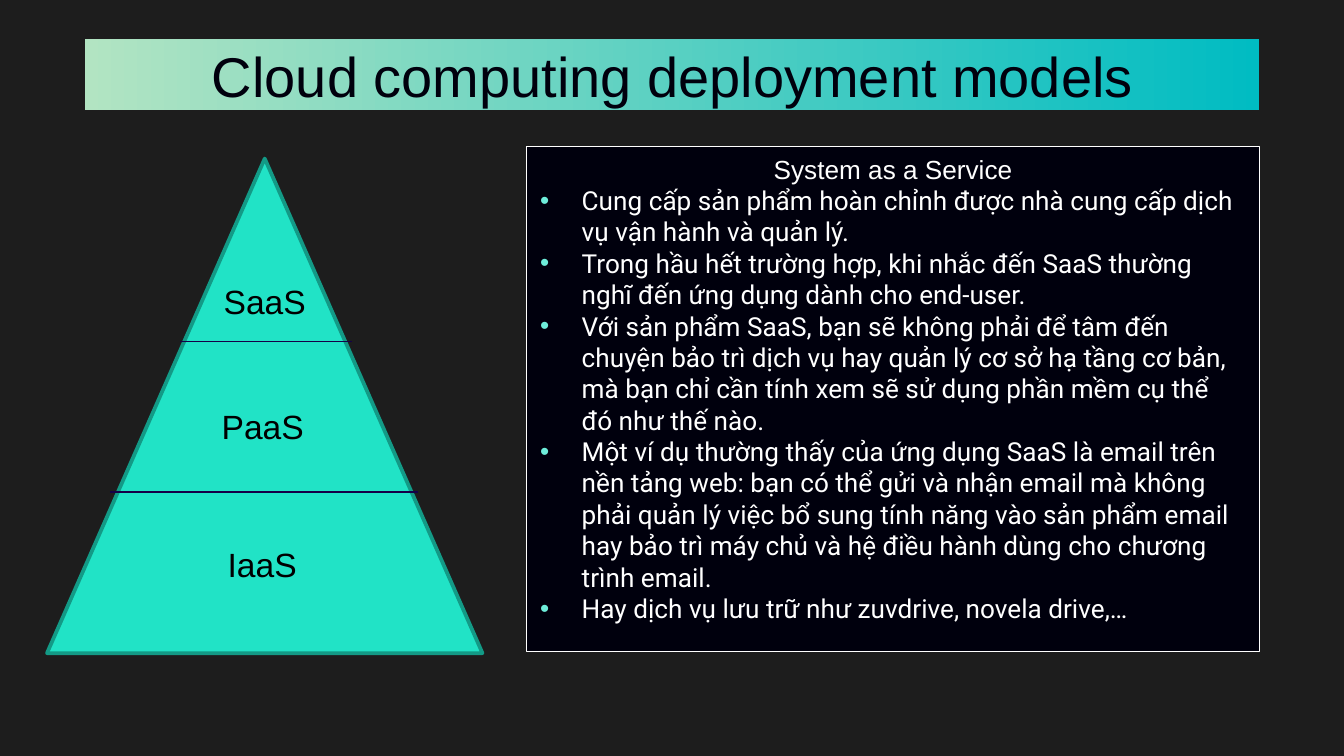
from lxml import etree
from pptx import Presentation
from pptx.dml.color import RGBColor
from pptx.enum.shapes import MSO_CONNECTOR, MSO_SHAPE
from pptx.enum.text import MSO_ANCHOR, PP_ALIGN
from pptx.oxml.ns import qn
from pptx.util import Inches, Pt

BACKGROUND = RGBColor(0x1D, 0x1D, 0x1D)
INK = RGBColor(0x00, 0x00, 0x0D)
BLACK = RGBColor(0x00, 0x00, 0x00)
WHITE = RGBColor(0xFF, 0xFF, 0xFF)
TURQUOISE = RGBColor(0x21, 0xE3, 0xC6)
DARK_TEAL = RGBColor(0x13, 0x9A, 0x86)
TEAL = RGBColor(0x00, 0xBC, 0xC2)
MINT = RGBColor(0xB2, 0xE4, 0xC2)
DIVIDER = RGBColor(0x14, 0x00, 0x48)
BULLET = RGBColor(0x6E, 0xED, 0xDA)


def write(p, text, size=14, font="Arial", color=WHITE, align=PP_ALIGN.LEFT, bullet=False):
    """Fill a paragraph with one formatted run, optionally bulleted."""
    p.alignment = align
    r = p.add_run()
    r.text = text
    r.font.size = Pt(size)
    r.font.name = font
    r.font.color.rgb = color
    if bullet:
        pPr = p._p.get_or_add_pPr()
        indent = Inches(0.31)
        pPr.set("marL", str(indent))
        pPr.set("indent", str(-indent))
        clr = etree.SubElement(pPr, qn("a:buClr"))
        etree.SubElement(clr, qn("a:srgbClr"), val=str(BULLET))
        etree.SubElement(pPr, qn("a:buFont"), typeface="Arial")
        etree.SubElement(pPr, qn("a:buChar"), char="•")


prs = Presentation()
prs.slide_width = Inches(10)
prs.slide_height = prs.slide_width * 9 // 16
s = prs.slides.add_slide(prs.slide_layouts[6])
s.background.fill.solid()
s.background.fill.fore_color.rgb = BACKGROUND

# Pyramid
pyramid = s.shapes.add_shape(MSO_SHAPE.ISOSCELES_TRIANGLE, Inches(0.35), Inches(1.18),
                             Inches(3.24), Inches(3.68))
pyramid.shadow.inherit = False
pyramid.fill.solid()
pyramid.fill.fore_color.rgb = TURQUOISE
pyramid.line.color.rgb = DARK_TEAL
pyramid.line.width = Pt(2)

# Title on its gradient band
band = s.shapes.add_shape(MSO_SHAPE.RECTANGLE, Inches(0.63), Inches(0.29),
                          Inches(8.74), Inches(0.53))
band.shadow.inherit = False
band.line.fill.background()
band.fill.gradient()
band.fill.gradient_angle = 0
for stop, color in zip(band.fill.gradient_stops, (MINT, TEAL)):
    stop.color.rgb = color

title = s.shapes.add_textbox(Inches(0.79), Inches(0.21), Inches(8.43), Inches(0.63))
tf = title.text_frame
tf.word_wrap = True
tf.margin_top, tf.margin_bottom = Inches(0.1), 0
write(tf.paragraphs[0], "Cloud computing deployment models", size=30, color=INK,
      align=PP_ALIGN.CENTER)

# Pyramid levels and the lines between them
for name, x, y, w, h in (("SaaS", 1.43, 2.04, 1.08, 0.4),
                         ("PaaS", 1.34, 2.97, 1.23, 0.71),
                         ("IaaS", 1.29, 4, 1.32, 0.4)):
    label = s.shapes.add_textbox(Inches(x), Inches(y), Inches(w), Inches(h))
    label.text_frame.word_wrap = True
    write(label.text_frame.paragraphs[0], name, size=18, color=BLACK, align=PP_ALIGN.CENTER)

for x1, x2, y in ((0.82, 3.11, 3.66), (1.34, 2.62, 2.54)):
    divider = s.shapes.add_connector(MSO_CONNECTOR.STRAIGHT, Inches(x1), Inches(y),
                                     Inches(x2), Inches(y))
    divider.line.color.rgb = DIVIDER
    divider.line.width = Pt(0.75)
    etree.SubElement(divider._element.spPr, qn("a:effectLst"))

# Description panel
panel = s.shapes.add_shape(MSO_SHAPE.RECTANGLE, Inches(3.92), Inches(1.09),
                           Inches(5.45), Inches(3.76))
panel.shadow.inherit = False
panel.fill.solid()
panel.fill.fore_color.rgb = INK
panel.line.color.rgb = WHITE
panel.line.width = Pt(0.5)
tf = panel.text_frame
tf.word_wrap = True
tf.vertical_anchor = MSO_ANCHOR.TOP
write(tf.paragraphs[0], "System as a Service", align=PP_ALIGN.CENTER)
for point in (
    "Cung cấp sản phẩm hoàn chỉnh được nhà cung cấp dịch vụ vận hành và quản lý.",
    "Trong hầu hết trường hợp, khi nhắc đến SaaS thường nghĩ đến ứng dụng dành cho end-user.",
    "Với sản phẩm SaaS, bạn sẽ không phải để tâm đến chuyện bảo trì dịch vụ hay quản lý "
    "cơ sở hạ tầng cơ bản, mà bạn chỉ cần tính xem sẽ sử dụng phần mềm cụ thể đó như thế nào.",
    "Một ví dụ thường thấy của ứng dụng SaaS là email trên nền tảng web: bạn có thể gửi và "
    "nhận email mà không phải quản lý việc bổ sung tính năng vào sản phẩm email hay bảo trì "
    "máy chủ và hệ điều hành dùng cho chương trình email.",
    "Hay dịch vụ lưu trữ như zuvdrive, novela drive,…",
):
    write(tf.add_paragraph(), point, font="Roboto", bullet=True)

prs.save("out.pptx")
